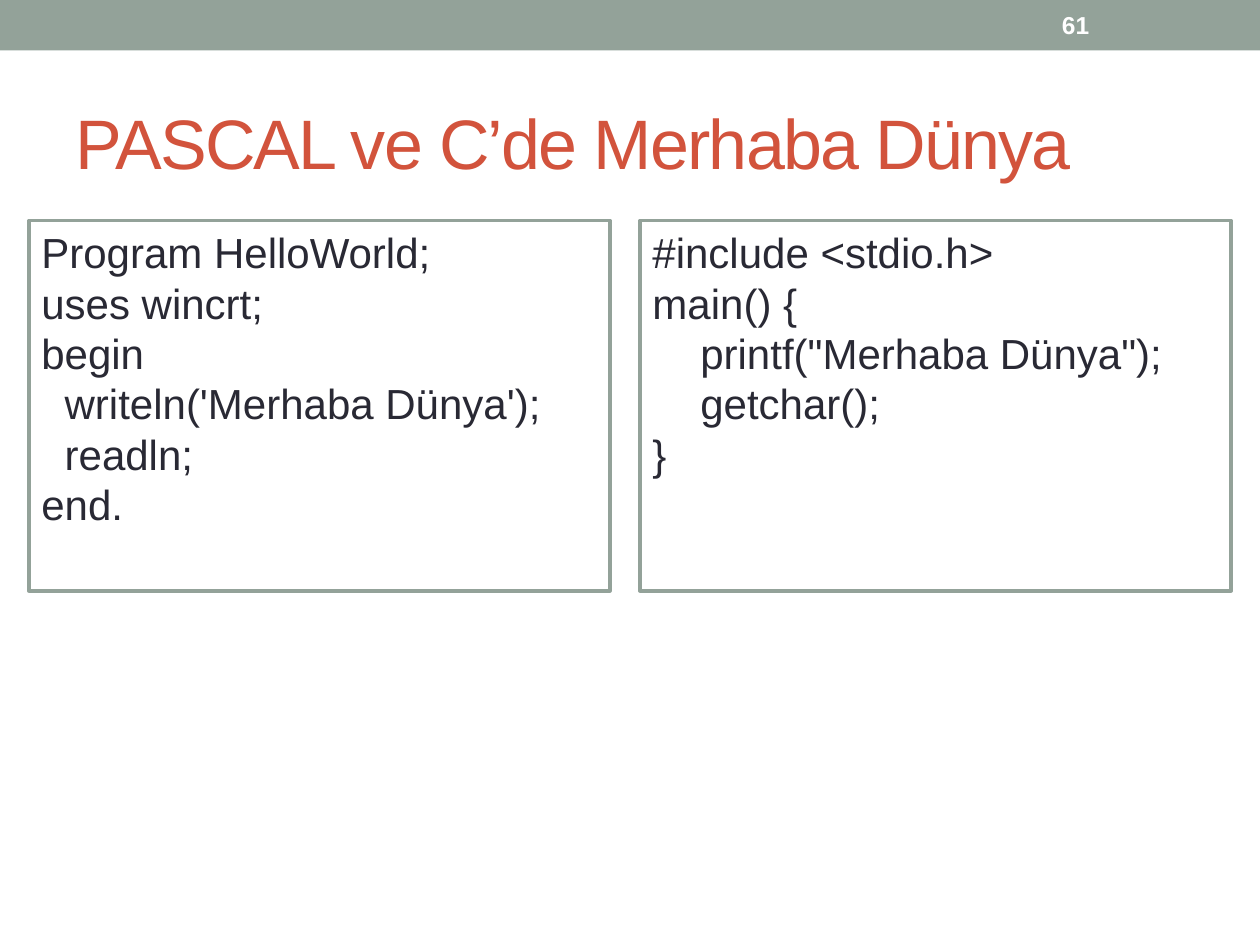
from pptx import Presentation
from pptx.dml.color import RGBColor
from pptx.enum.shapes import MSO_SHAPE
from pptx.enum.text import MSO_ANCHOR, PP_ALIGN
from pptx.util import Inches, Pt

RECT = MSO_SHAPE.RECTANGLE
TOP, MIDDLE = MSO_ANCHOR.TOP, MSO_ANCHOR.MIDDLE
LEFT = PP_ALIGN.LEFT
WIDTH, HEIGHT = 10, 7.5
COLORS = {"sage": "93A299", "title": "D2533C", "ink": "292934", "white": "FFFFFF"}

PASCAL = """Program HelloWorld;
uses wincrt;
begin
  writeln('Merhaba Dünya');
  readln;
end."""
C_CODE = """#include <stdio.h>
main() {
\tprintf("Merhaba Dünya");
\tgetchar();
}"""


class Deck:
    font = "Arial"

    def __init__(self):
        self.prs = Presentation()
        self.prs.slide_width = Inches(WIDTH)
        self.prs.slide_height = Inches(HEIGHT)
        self.s = self.prs.slides.add_slide(self.prs.slide_layouts[5])

    def color(self, name):
        return RGBColor.from_string(COLORS[name])

    def box(self, x, y, w, h):
        return (Inches(x * WIDTH), Inches(y * HEIGHT),
                Inches(w * WIDTH), Inches(h * HEIGHT))

    def set_text(self, sp, text, size, color, anchor=MIDDLE, bold=False):
        tf = sp.text_frame
        tf.word_wrap = True
        tf.vertical_anchor = anchor
        tf.text = text
        for p in tf.paragraphs:
            p.alignment = LEFT
            for r in p.runs:
                r.font.name = self.font
                r.font.size = Pt(size)
                r.font.bold = bold
                r.font.color.rgb = self.color(color)
        return tf

    def title(self, text, *area):
        sp = self.s.shapes.title
        sp.left, sp.top, sp.width, sp.height = self.box(*area)
        tf = self.set_text(sp, text, 40, "title")
        tf.paragraphs[0].runs[0]._r.get_or_add_rPr().set("spc", "-100")

    def rect(self, fill, *area, line=None):
        sp = self.s.shapes.add_shape(RECT, *self.box(*area))
        sp.shadow.inherit = False
        sp.fill.solid()
        sp.fill.fore_color.rgb = self.color(fill)
        if line:
            sp.line.color.rgb = self.color(line)
            sp.line.width = Pt(2.08)
        else:
            sp.line.fill.background()
        return sp

    def label(self, text, *area):
        sp = self.s.shapes.add_textbox(*self.box(*area))
        self.set_text(sp, text, 14, "white", bold=True)

    def code(self, text, indent, *area):
        sp = self.rect("white", *area, line="sage")
        tf = self.set_text(sp, text, 24, "ink", anchor=TOP)
        for p in tf.paragraphs:
            p.line_spacing = Pt(28.8)
            pPr = p._p.get_or_add_pPr()
            pPr.set("marL", str(Inches(indent)))
            pPr.set("indent", str(-Inches(indent)))


def main():
    d = Deck()
    d.rect("sage", 0, 0, 1, 0.4 / HEIGHT)
    d.title("PASCAL ve C’de Merhaba Dünya", 0.05, 0.58 / HEIGHT, 0.9, 1.08 / HEIGHT)
    top, height = 1.75 / HEIGHT, 2.94 / HEIGHT
    d.code(PASCAL, 0.02, 0.023, top, 0.461, height)
    d.code(C_CODE, 0.38, 0.508, top, 0.469, height)
    d.label("61", 0.833, 0.02 / HEIGHT, 0.117, 0.36 / HEIGHT)
    d.prs.save("out.pptx")


if __name__ == "__main__":
    main()
